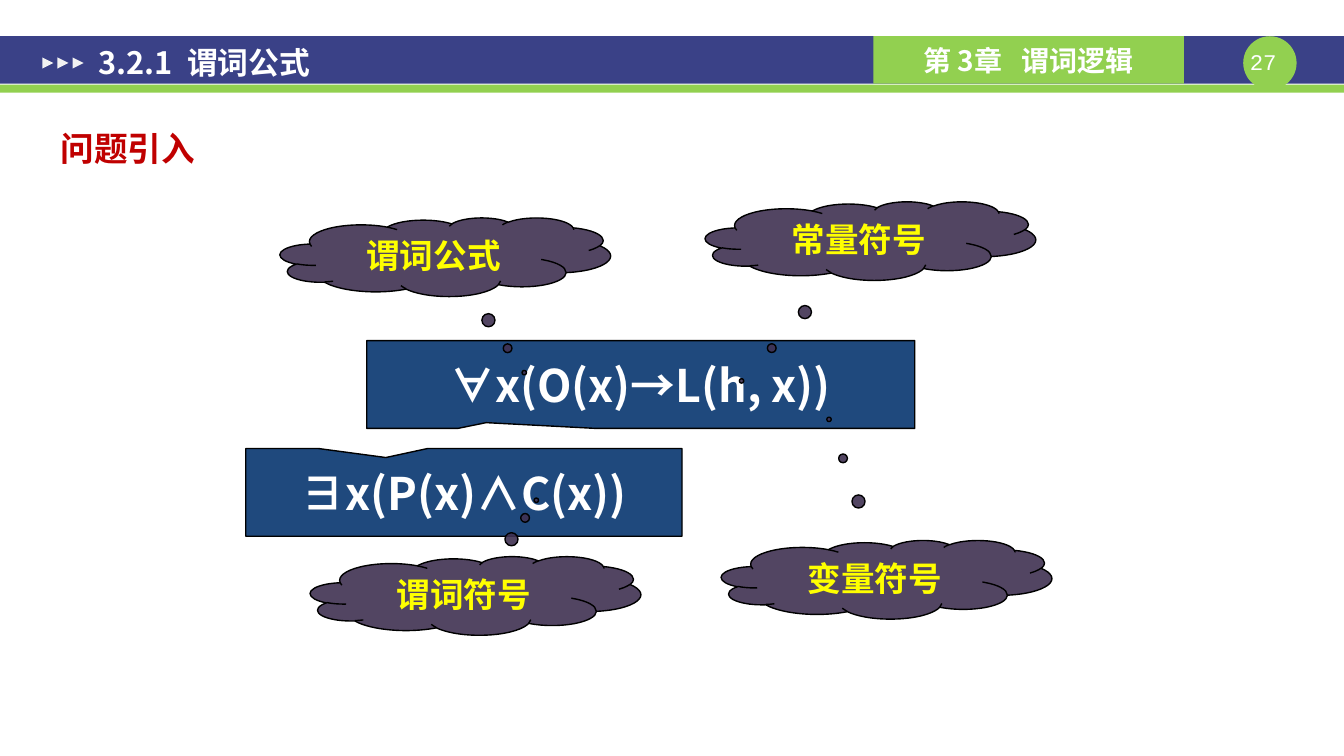
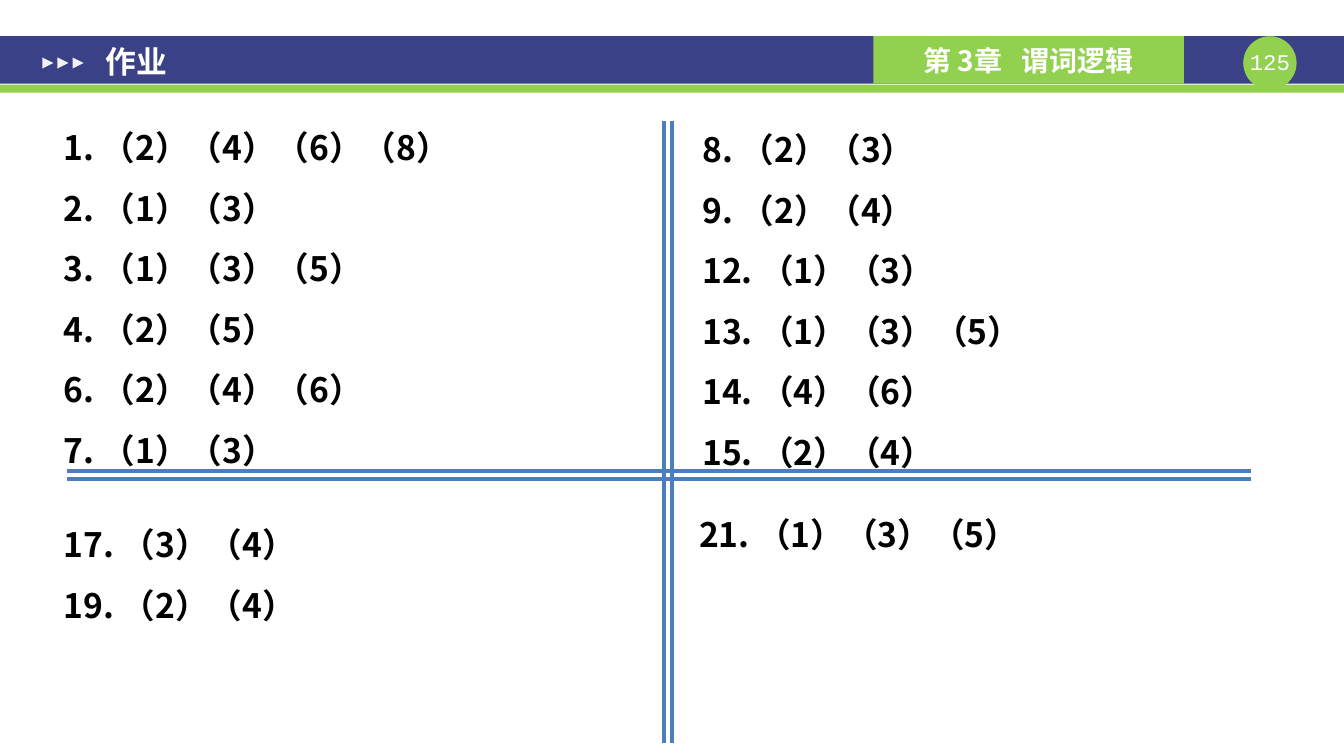
from dataclasses import dataclass
from typing import Optional

from lxml import etree
from pptx import Presentation
from pptx.dml.color import RGBColor
from pptx.enum.shapes import MSO_CONNECTOR, MSO_SHAPE
from pptx.enum.text import MSO_ANCHOR, MSO_AUTO_SIZE, PP_ALIGN
from pptx.oxml.ns import qn
from pptx.util import Inches, Pt

RECT, OVAL, TRIANGLE = MSO_SHAPE.RECTANGLE, MSO_SHAPE.OVAL, MSO_SHAPE.ISOSCELES_TRIANGLE
BOX_CALLOUT, CLOUD = MSO_SHAPE.RECTANGULAR_CALLOUT, MSO_SHAPE.CLOUD_CALLOUT
STRAIGHT = MSO_CONNECTOR.STRAIGHT
TOP, MIDDLE = MSO_ANCHOR.TOP, MSO_ANCHOR.MIDDLE
LEFT, CENTER = PP_ALIGN.LEFT, PP_ALIGN.CENTER
NO_FIT = MSO_AUTO_SIZE.NONE


@dataclass(frozen=True)
class TextStyle:
    size: int
    color: str
    font: str = "Noto Sans CJK SC"
    bold: bool = True


@dataclass(frozen=True)
class Theme:
    navy: str = "3A4187"
    green: str = "92D050"
    arrow: str = "F2F2F2"
    formula_fill: str = "1F497D"
    cloud_fill: str = "403152"
    outline: str = "000000"
    divider: str = "4B7EBC"
    east_asian: str = "Noto Sans CJK SC"
    title: TextStyle = TextStyle(22, "FFFFFF")
    chapter: TextStyle = TextStyle(20, "FFFFFF")
    number: TextStyle = TextStyle(16, "FFFFFF", "Courier New", False)
    heading: TextStyle = TextStyle(24, "C00000")
    exercise: TextStyle = TextStyle(24, "000000")
    formula: TextStyle = TextStyle(32, "FFFFFF")
    cloud: TextStyle = TextStyle(24, "FFFF00", "Arial")


@dataclass(frozen=True)
class Box:
    left: float
    top: float
    width: float
    height: float

    def lengths(self) -> tuple:
        return tuple(Inches(v) for v in (self.left, self.top, self.width, self.height))


@dataclass(frozen=True)
class Callout:
    text: str
    box: Box
    tip: tuple[float, float]


@dataclass(frozen=True)
class Exercises:
    box: Box
    lines: list[str]


THEME = Theme()
WIDE_INSETS = (0.13, 0.07)
PLAIN_INSETS = (0.1, 0.05)

FORMULAS = [
    Callout("∀x(O(x)→L(h, x))", Box(3.64, 3.38, 5.44, 0.87), (-0.282, 0.435)),
    Callout("∃x(P(x)∧C(x))", Box(2.44, 4.45, 4.33, 0.87), (-0.179, -0.397)),
]
CLOUDS = [
    Callout("常量符号", Box(7, 2, 3.28, 0.78), (-0.39, 1.781)),
    Callout("变量符号", Box(7.16, 5.36, 3.28, 0.78), (-0.174, -2.038)),
    Callout("谓词公式", Box(2.78, 2.16, 3.28, 0.78), (0.239, 1.471)),
    Callout("谓词符号", Box(3.08, 5.52, 3.28, 0.78), (0.184, -1.215)),
]
EXERCISES = [
    Exercises(Box(0.5, 0.99, 5.83, 3.76), [
        "1. （2）（4）（6）（8）", "2. （1）（3）", "3. （1）（3）（5）",
        "4. （2）（5）", "6. （2）（4）（6）", "7. （1）（3）"]),
    Exercises(Box(6.84, 1.01, 5.83, 3.76), [
        "8. （2）（3）", "9. （2）（4）", "12. （1）（3）",
        "13. （1）（3）（5）", "14. （4）（6）", "15. （2）（4）"]),
    Exercises(Box(0.5, 4.93, 5.42, 2.46), ["17. （3）（4）", "19. （2）（4）"]),
    Exercises(Box(6.81, 4.83, 5.36, 2.53), ["21. （1）（3）（5）"]),
]


def rgb(color: str) -> RGBColor:
    return RGBColor.from_string(color)


def write(sp, lines: list[str], style: TextStyle, align=CENTER, anchor=MIDDLE,
          insets=PLAIN_INSETS, spacing: float = 1.0, wrap: bool = True) -> None:
    """Fill a shape with unbulleted paragraphs in one style."""
    tf = sp.text_frame
    tf.word_wrap, tf.auto_size, tf.vertical_anchor = wrap, NO_FIT, anchor
    tf.margin_left = tf.margin_right = Inches(insets[0])
    tf.margin_top = tf.margin_bottom = Inches(insets[1])
    for i, line in enumerate(lines):
        p = tf.add_paragraph() if i else tf.paragraphs[0]
        p.alignment, p.line_spacing = align, spacing
        p.space_before = p.space_after = Pt(0)
        p_pr = p._p.get_or_add_pPr()
        p_pr.set("marL", "0")
        p_pr.set("indent", "0")
        etree.SubElement(p_pr, qn("a:buNone"))
        r = p.add_run()
        r.text = line
        r.font.size, r.font.bold, r.font.name = Pt(style.size), style.bold, style.font
        r.font.color.rgb = rgb(style.color)
        etree.SubElement(r._r.get_or_add_rPr(), qn("a:ea"), typeface=THEME.east_asian)


def place(sp, box: Box) -> None:
    sp.left, sp.top, sp.width, sp.height = box.lengths()


def add_filled(slide, kind, box: Box, fill: str, line: Optional[str] = None):
    sp = slide.shapes.add_shape(kind, *box.lengths())
    sp.shadow.inherit = False
    sp.fill.solid()
    sp.fill.fore_color.rgb = rgb(fill)
    if line:
        sp.line.color.rgb = rgb(line)
        sp.line.width = Pt(1)
    else:
        sp.line.fill.background()
    return sp


def add_callout(slide, kind, callout: Callout, fill: str, style: TextStyle):
    sp = add_filled(slide, kind, callout.box, fill, THEME.outline)
    for i, value in enumerate(callout.tip):
        sp.adjustments[i] = value
    write(sp, [callout.text], style)
    return sp


def set_opacity(sp, percent: int) -> None:
    color = sp._element.spPr.find(qn("a:solidFill"))[0]
    etree.SubElement(color, qn("a:alpha"), val=str(percent * 1000))


def add_divider(slide, x1: float, y1: float, x2: float, y2: float) -> None:
    line = slide.shapes.add_connector(STRAIGHT, *(Inches(v) for v in (x1, y1, x2, y2)))
    line.line.color.rgb = rgb(THEME.divider)
    line.line.width = Pt(2.75)
    etree.SubElement(line._element.spPr, qn("a:effectLst"))


def add_slide(prs, layout: int, title: str, title_box: Box, number: int):
    """Add a slide with the header band, chapter tag, page number and title."""
    slide = prs.slides.add_slide(prs.slide_layouts[layout])
    for sp in list(slide.placeholders):
        if sp.placeholder_format.idx >= 10:
            sp._element.getparent().remove(sp._element)
    add_filled(slide, RECT, Box(0, 0.36, 13.34, 0.47), THEME.navy)
    add_filled(slide, RECT, Box(0, 0.84, 13.34, 0.08), THEME.green)
    add_filled(slide, OVAL, Box(12.34, 0.36, 0.53, 0.53), THEME.green)
    page = slide.shapes.add_textbox(*Box(12.34, 0.48, 0.53, 0.27).lengths())
    write(page, [f"{number} "], THEME.number, anchor=TOP, insets=(0, 0))
    chapter = add_filled(slide, RECT, Box(8.67, 0.36, 3.08, 0.47), THEME.green)
    write(chapter, ["第 3章   谓词逻辑"], THEME.chapter)
    for i in range(3):
        arrow = add_filled(slide, TRIANGLE, Box(0.42 + 0.15 * i, 0.57, 0.11, 0.11), THEME.arrow)
        arrow.rotation = 90
    heading = slide.shapes.title
    place(heading, title_box)
    write(heading, [title], THEME.title, LEFT, insets=WIDE_INSETS)
    slide.shapes._spTree.append(heading._element)  # the title sits above the band
    return slide


def build_formula_slide(prs) -> None:
    slide = add_slide(prs, 1, "3.2.1  谓词公式", Box(0.85, 0.4, 5.8, 0.44), 27)
    heading = slide.placeholders[1]
    place(heading, Box(0.5, 1.22, 1.55, 0.5))
    write(heading, ["问题引入"], THEME.heading, LEFT, TOP, wrap=False)
    for formula in FORMULAS:
        add_callout(slide, BOX_CALLOUT, formula, THEME.formula_fill, THEME.formula)
    for cloud in CLOUDS:
        set_opacity(add_callout(slide, CLOUD, cloud, THEME.cloud_fill, THEME.cloud), 90)


def build_homework_slide(prs) -> None:
    slide = add_slide(prs, 4, "作业", Box(0.92, 0.1, 8.82, 1.01), 125)
    for idx, block in enumerate(EXERCISES, start=1):
        body = slide.placeholders[idx]
        place(body, block.box)
        write(body, block.lines, THEME.exercise, LEFT, TOP, WIDE_INSETS, 1.5)
    for offset in (0, 0.08):
        add_divider(slide, 0.67, 4.67 + offset, 12.42, 4.67 + offset)
        add_divider(slide, 6.59 + offset, 1.2, 6.59 + offset, 7.37)


def main() -> None:
    prs = Presentation()
    prs.slide_width, prs.slide_height = Inches(13.34), Inches(7.5)
    build_formula_slide(prs)
    build_homework_slide(prs)
    prs.save("out.pptx")


if __name__ == "__main__":
    main()
